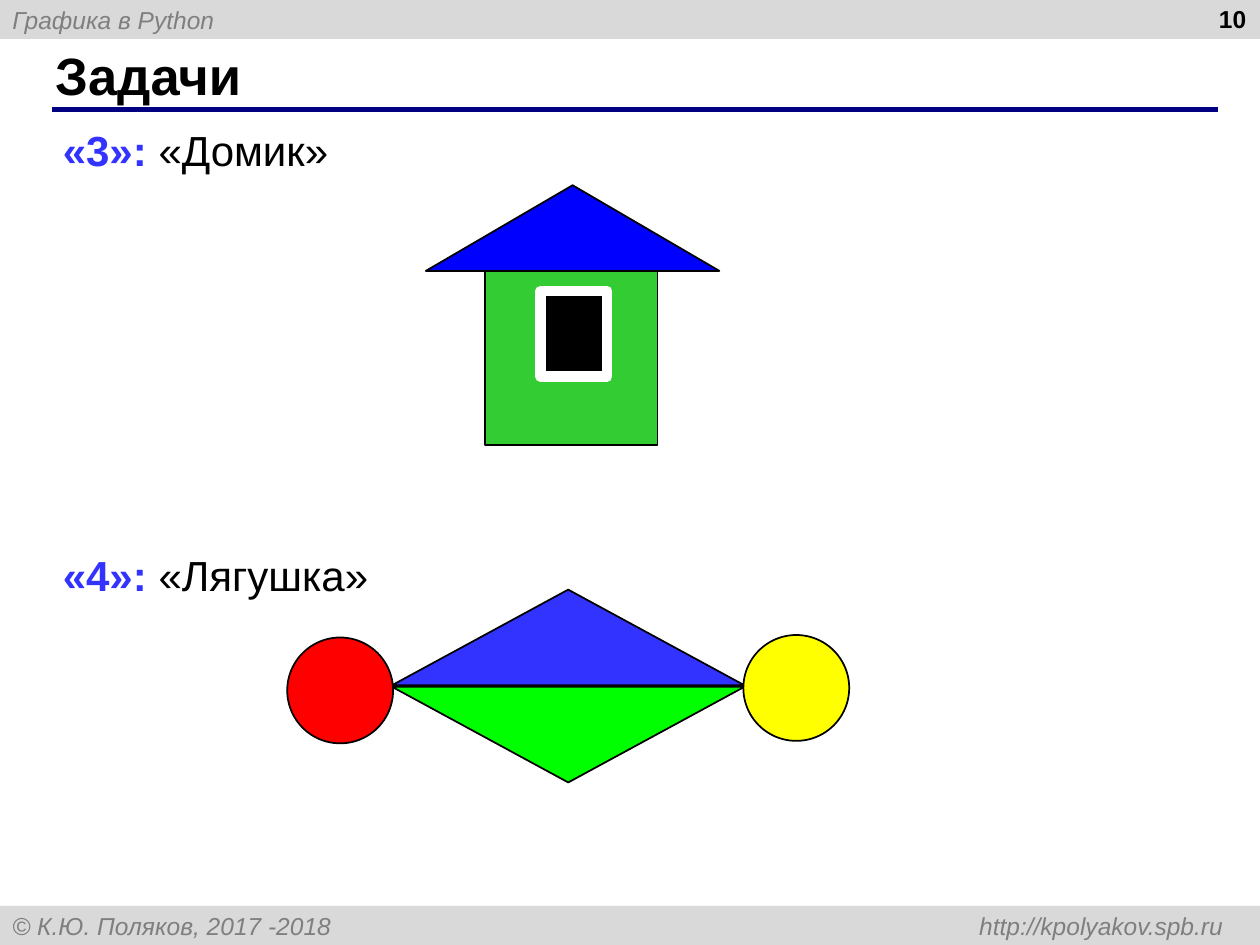
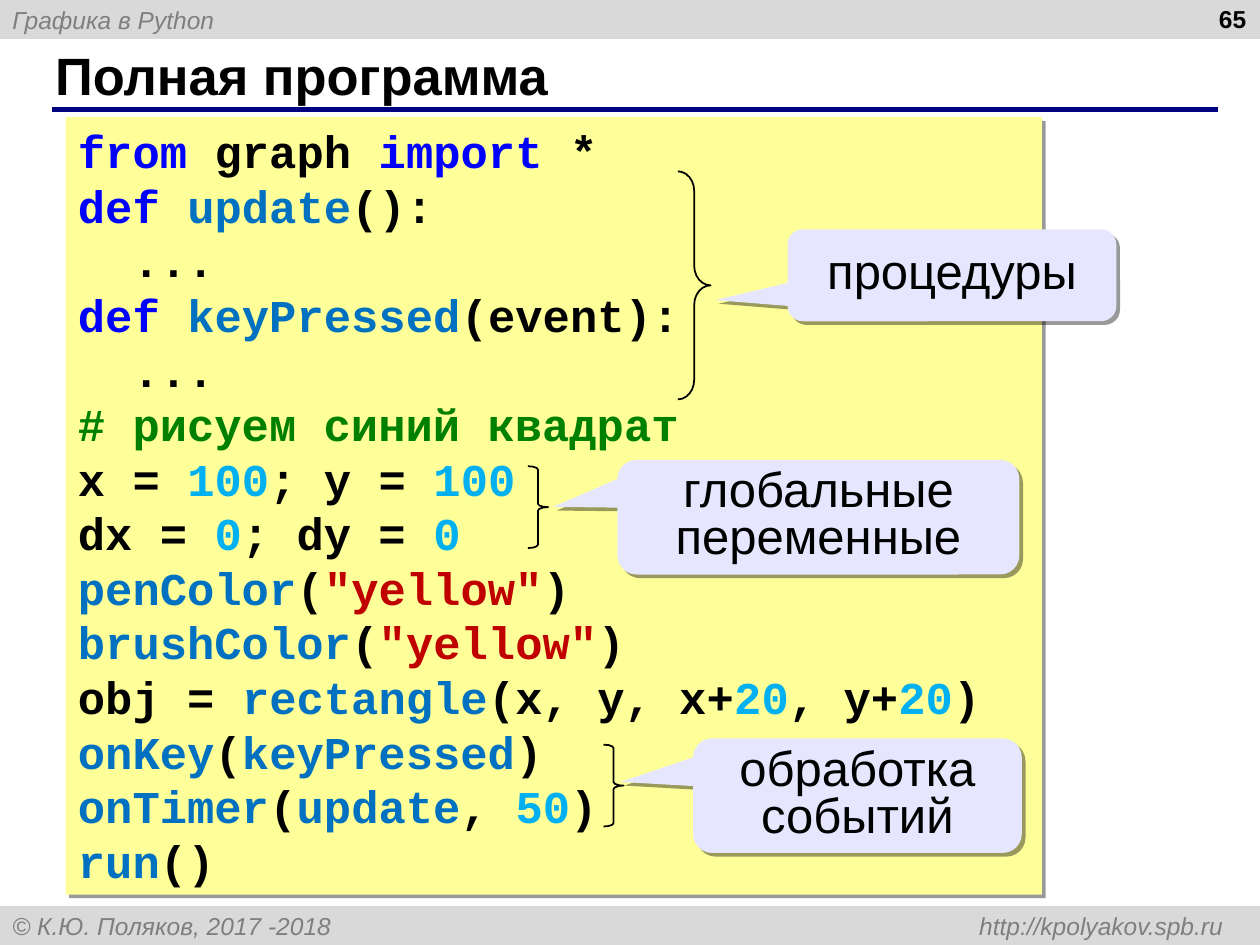
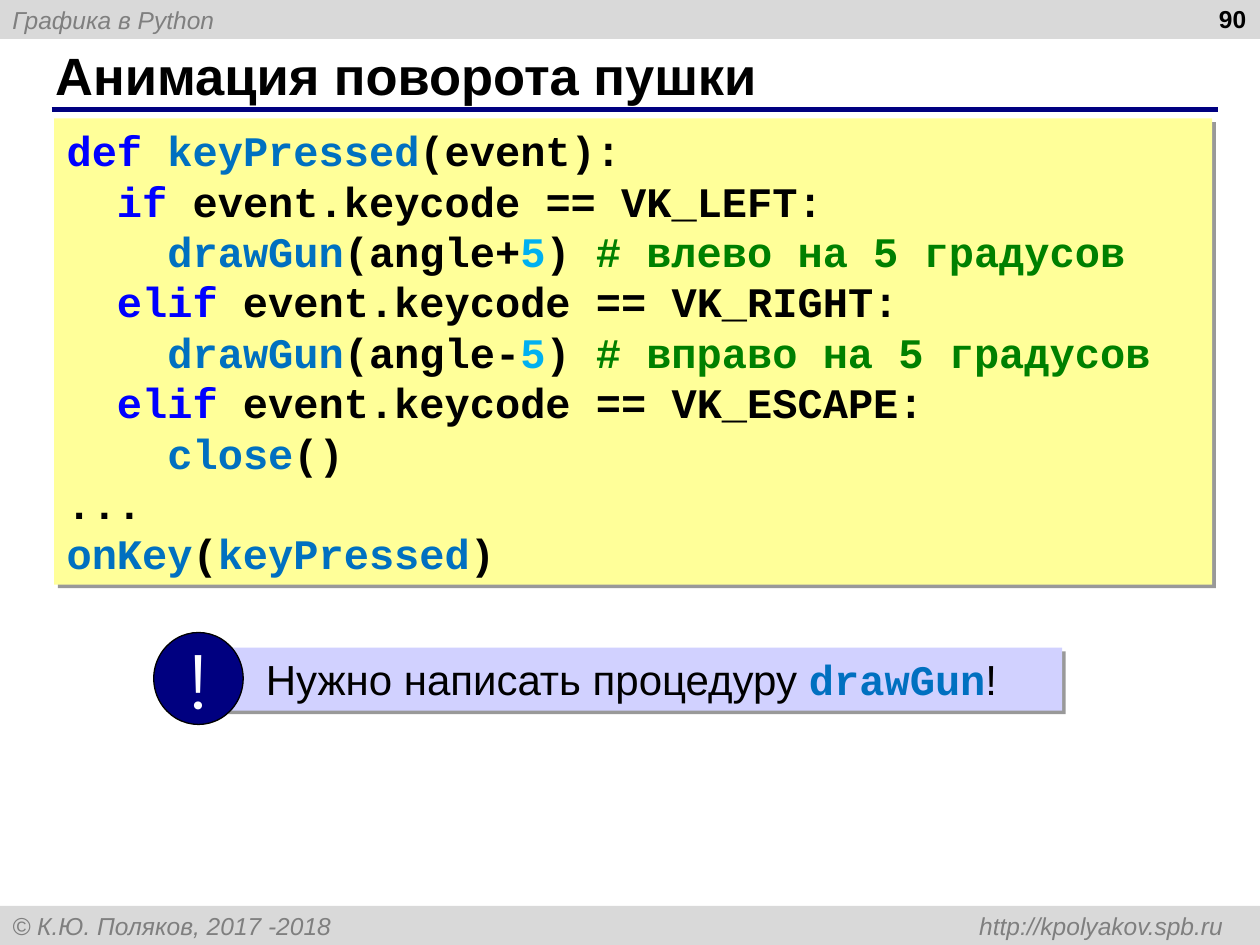
from lxml.etree import SubElement
from pptx import Presentation
from pptx.dml.color import RGBColor
from pptx.enum.shapes import MSO_CONNECTOR, MSO_SHAPE
from pptx.enum.text import MSO_ANCHOR, PP_ALIGN
from pptx.oxml.ns import qn
from pptx.util import Inches, Pt

BLACK = RGBColor(0x00, 0x00, 0x00)
WHITE = RGBColor(0xFF, 0xFF, 0xFF)
BAND = RGBColor(0xD9, 0xD9, 0xD9)
GRAY = RGBColor(0x7F, 0x7F, 0x7F)
NAVY = RGBColor(0x00, 0x00, 0x80)
INDIGO = RGBColor(0x33, 0x33, 0xFF)
PAPER = RGBColor(0xFF, 0xFF, 0x99)
CALLOUT = RGBColor(0xE6, 0xE6, 0xFF)
NOTE = RGBColor(0xD1, 0xD1, 0xFF)
KEYWORD = RGBColor(0x00, 0x00, 0xFF)
NAME = RGBColor(0x00, 0x70, 0xC0)
NUMBER = RGBColor(0x00, 0xB0, 0xF0)
STRING = RGBColor(0xC0, 0x00, 0x00)
COMMENT = RGBColor(0x00, 0x80, 0x00)
ROOF = RGBColor(0x00, 0x00, 0xFF)
WALL = RGBColor(0x33, 0xCC, 0x33)
LIME = RGBColor(0x00, 0xFF, 0x00)
RED = RGBColor(0xFF, 0x00, 0x00)
YELLOW = RGBColor(0xFF, 0xFF, 0x00)

SANS = "Arial"
MONO = "Courier New"


def draw(page, kind, place, fill=None, line=None, weight=1, shadow=False):
    shape = page.shapes.add_shape(kind, *[Inches(value) for value in place])
    shape.shadow.inherit = False
    if fill is None:
        shape.fill.background()
    else:
        shape.fill.solid()
        shape.fill.fore_color.rgb = fill
    if line is None:
        shape.line.fill.background()
    else:
        shape.line.color.rgb = line
        shape.line.width = Pt(weight)
    if shadow:
        effects = shape._element.spPr.find(qn("a:effectLst"))
        outer = SubElement(effects, qn("a:outerShdw"), dist=str(Pt(3)), dir="2700000", algn="ctr", rotWithShape="0")
        color = SubElement(outer, qn("a:srgbClr"), val="000000")
        SubElement(color, qn("a:alpha"), val="40000")
    return shape


def write(shape, lines, size=24, font=SANS, color=BLACK, bold=False, italic=False, align=PP_ALIGN.LEFT,
          anchor=MSO_ANCHOR.TOP, spacing=None, wrap=True, inset=0.1, tab=None):
    frame = shape.text_frame
    frame.word_wrap = wrap
    frame.vertical_anchor = anchor
    frame.margin_left = Inches(inset)
    for index, spans in enumerate(lines):
        para = frame.add_paragraph() if index else frame.paragraphs[0]
        para.alignment = align
        if spacing:
            para.line_spacing = spacing
        if tab:
            stops = SubElement(para._p.get_or_add_pPr(), qn("a:tabLst"))
            SubElement(stops, qn("a:tab"), pos=str(Inches(tab)), algn="r")
        for text, *style in [(spans,)] if isinstance(spans, str) else spans:
            span = para.add_run()
            span.text = text
            span.font.size = Pt(size)
            span.font.italic = italic
            span.font.color.rgb = style[0] if style else color
            span.font.bold = style[1] if len(style) > 1 else bold
            span.font.name = style[2] if len(style) > 2 else font


deck = Presentation()
deck.slide_width = Inches(10)
deck.slide_height = Inches(7.5)

pages = []
for title, number in [("Задачи", 10), ("Полная программа", 65), ("Анимация поворота пушки", 90)]:
    page = deck.slides.add_slide(deck.slide_layouts[6])
    pages.append(page)
    for top, text, tab in [(0, "Графика в Python", None),
                           (7.19, "© К.Ю. Поляков, 2017 -2018\thttp://kpolyakov.spb.ru", 9.61)]:
        band = draw(page, MSO_SHAPE.RECTANGLE, (0, top, 10, 0.31), BAND)
        write(band, [text], size=14, color=GRAY, italic=True, anchor=MSO_ANCHOR.MIDDLE, tab=tab)
    rule = page.shapes.add_connector(MSO_CONNECTOR.STRAIGHT, Inches(0.41), Inches(0.87), Inches(9.67), Inches(0.87))
    rule.line.color.rgb = NAVY
    rule.line.width = Pt(3)
    SubElement(rule._element.spPr, qn("a:effectLst"))
    heading = page.shapes.add_textbox(Inches(0.34), Inches(0.33), Inches(9.16), Inches(0.52))
    write(heading, [title], size=30, bold=True, anchor=MSO_ANCHOR.MIDDLE)
    counter = page.shapes.add_textbox(Inches(7.66), Inches(-0.02), Inches(2.33), Inches(0.52))
    write(counter, [str(number)], size=14, bold=True, align=PP_ALIGN.RIGHT)

tasks, program, animation = pages

for top, grade, task in [(0.94, "«3»: ", "«Домик»"), (4.31, "«4»: ", "«Лягушка»")]:
    box = tasks.shapes.add_textbox(Inches(0.4), Inches(top), Inches(9.21), Inches(0.5))
    write(box, [[(grade, INDIGO, True), (task,)]])

draw(tasks, MSO_SHAPE.ISOSCELES_TRIANGLE, (3.11, 4.68, 2.8, 0.76), INDIGO, BLACK)
jaw = draw(tasks, MSO_SHAPE.ISOSCELES_TRIANGLE, (3.11, 5.45, 2.8, 0.76), LIME, BLACK)
jaw.rotation = 180
draw(tasks, MSO_SHAPE.OVAL, (5.9, 5.04, 0.84, 0.84), YELLOW, BLACK)
draw(tasks, MSO_SHAPE.OVAL, (2.28, 5.06, 0.84, 0.84), RED, BLACK)
draw(tasks, MSO_SHAPE.RECTANGLE, (3.85, 2.14, 1.37, 1.39), WALL, BLACK)
draw(tasks, MSO_SHAPE.ISOSCELES_TRIANGLE, (3.38, 1.47, 2.33, 0.68), ROOF, BLACK)
draw(tasks, MSO_SHAPE.RECTANGLE, (4.29, 2.31, 0.53, 0.68), BLACK, WHITE, 6)

program_code = [
    [("from", KEYWORD), (" graph ",), ("import", KEYWORD), (" *",)],
    [("def ", KEYWORD), ("update", NAME), ("():",)],
    "  ...",
    [("def ", KEYWORD), ("keyPressed", NAME), ("(event):",)],
    "  ...",
    [("# рисуем синий квадрат", COMMENT)],
    [("x = ",), ("100", NUMBER), ("; y = ",), ("100", NUMBER)],
    [("dx = ",), ("0", NUMBER), ("; dy = ",), ("0", NUMBER)],
    [("penColor", NAME), ("(",), ('"yellow"', STRING), (")",)],
    [("brushColor", NAME), ("(",), ('"yellow"', STRING), (")",)],
    [("obj = ",), ("rectangle", NAME), ("(x, y, x+",), ("20", NUMBER), (", y+",), ("20", NUMBER), (")",)],
    [("onKey", NAME), ("(",), ("keyPressed", NAME), (")",)],
    [("onTimer", NAME), ("(",), ("update", NAME), (", ",), ("50", NUMBER), (")",)],
    [("run", NAME), ("()",)],
]
animation_code = [
    [("def ", KEYWORD), ("keyPressed", NAME), ("(event):",)],
    [("  if", KEYWORD), (" event.keycode == VK_LEFT:",)],
    [("    drawGun", NAME), ("(angle+",), ("5", NUMBER), (") ",), ("# влево на 5 градусов", COMMENT)],
    [("  elif", KEYWORD), (" event.keycode == VK_RIGHT:",)],
    [("    drawGun", NAME), ("(angle-",), ("5", NUMBER), (") ",), ("# вправо на 5 градусов", COMMENT)],
    [("  elif", KEYWORD), (" event.keycode == VK_ESCAPE:",)],
    [("    close", NAME), ("()",)],
    "...",
    [("onKey", NAME), ("(",), ("keyPressed", NAME), (")",)],
]
for page, place, size, code in [(program, (0.52, 0.93, 7.75, 6.17), 26, program_code),
                                (animation, (0.43, 0.94, 9.19, 3.7), 24, animation_code)]:
    listing = draw(page, MSO_SHAPE.RECTANGLE, place, PAPER, shadow=True)
    write(listing, code, size=size, font=MONO, bold=True)

for brace_place, curve, callout_place, tip, text in [
    ((5.38, 1.36, 0.26, 1.81), 0.6, (6.25, 1.82, 2.61, 0.73), (-0.72, 0.27), "процедуры"),
    ((4.79, 5.91, 0.16, 0.65), 0.17, (5.5, 5.86, 2.61, 0.91), (-0.72, -0.12), "обработка событий"),
    ((4.19, 3.7, 0.16, 0.65), 0.17, (4.9, 3.65, 3.19, 0.91), (-0.66, -0.09), "глобальные переменные"),
]:
    brace = draw(program, MSO_SHAPE.RIGHT_BRACE, brace_place, line=BLACK)
    brace.adjustments[0] = curve
    callout = draw(program, MSO_SHAPE.ROUNDED_RECTANGULAR_CALLOUT, callout_place, CALLOUT, shadow=True)
    callout.adjustments[0], callout.adjustments[1] = tip
    write(callout, [text], size=28, align=PP_ALIGN.CENTER, anchor=MSO_ANCHOR.MIDDLE, spacing=0.8)

note = draw(animation, MSO_SHAPE.RECTANGLE, (1.73, 5.14, 6.7, 0.5), NOTE, shadow=True)
write(note, [[("Нужно написать процедуру ",), ("drawGun", NAME, True, MONO), ("!",)]], inset=0.38)
badge = draw(animation, MSO_SHAPE.OVAL, (1.22, 5.02, 0.71, 0.73), NAVY, BLACK, 0.75)
write(badge, ["!"], size=44, font="Montserrat", color=WHITE, align=PP_ALIGN.CENTER,
      anchor=MSO_ANCHOR.MIDDLE, wrap=False)

deck.save("out.pptx")
